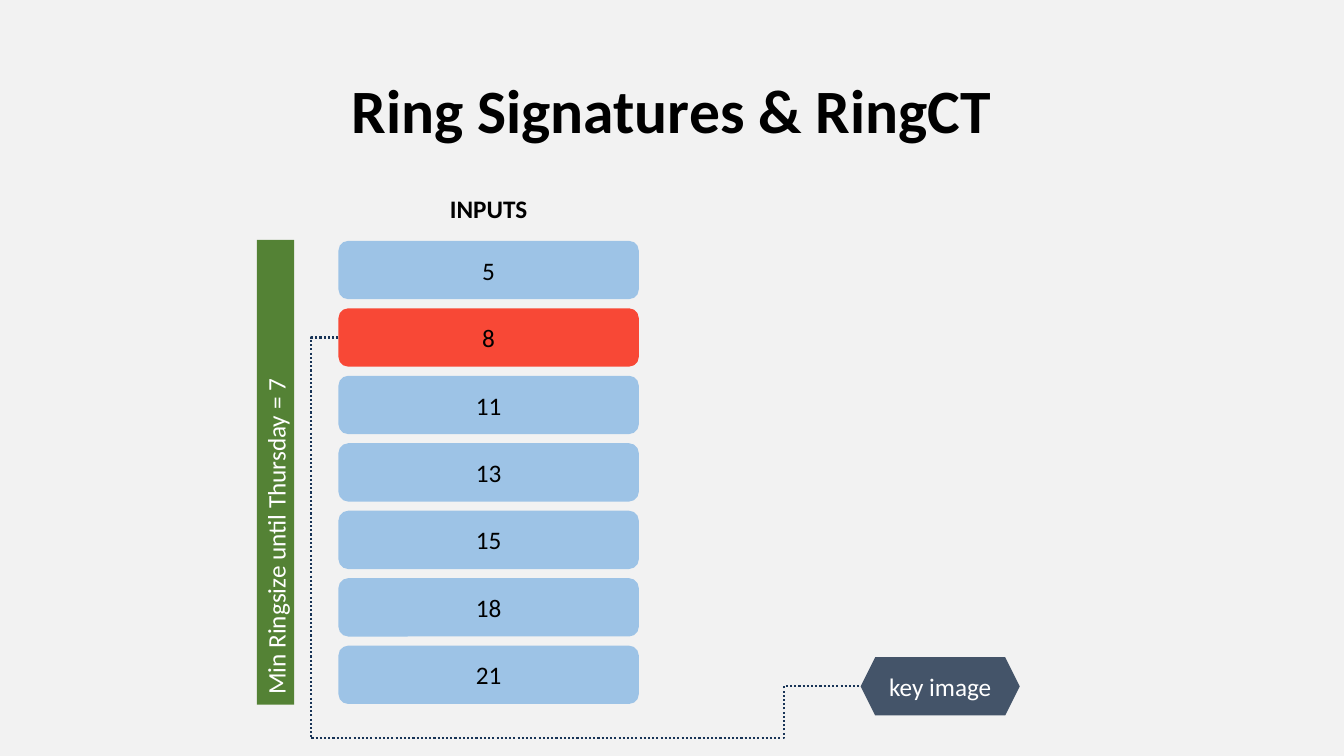
from dataclasses import dataclass

from lxml import etree
from pptx import Presentation
from pptx import util as u
from pptx.dml.color import RGBColor
from pptx.enum import dml, shapes, text
from pptx.oxml.ns import qn


@dataclass(frozen=True)
class Theme:
    """Colours, font and type sizes of the slide."""
    font: str = "Calibri"
    background: str = "F2F2F2"
    ink: str = "000000"
    light: str = "FFFFFF"
    decoy: str = "9DC3E6"
    spent: str = "F84836"
    ring_size: str = "548235"
    key_image: str = "445469"
    link: str = "183457"
    title_size: int = 44
    body_size: int = 18
    link_width: float = 1.5


class RingSlide:
    """Draws themed elements on one slide, with lengths in centimetres."""

    def __init__(self, deck, theme):
        """Add a title-only slide with the theme background."""
        self.theme = theme
        self.slide = deck.slides.add_slide(deck.slide_layouts[5])
        backdrop = self.slide.background.fill
        backdrop.solid()
        backdrop.fore_color.rgb = RGBColor.from_string(theme.background)

    def put_text(self, frame, wording, color, align=text.PP_ALIGN.CENTER, **formats):
        """Fill a text frame with one formatted paragraph."""
        paragraph = frame.paragraphs[0]
        paragraph.alignment = align
        run = paragraph.add_run()
        run.text = wording
        formats = {"name": self.theme.font, "size": u.Pt(self.theme.body_size), **formats}
        for attribute, value in formats.items():
            setattr(run.font, attribute, value)
        run.font.color.rgb = RGBColor.from_string(color)
        return paragraph

    def title(self, wording, left, top, width, height):
        """Move and fill the title placeholder."""
        heading = self.slide.shapes.title
        place = {"left": left, "top": top, "width": width, "height": height}
        for attribute, value in place.items():
            setattr(heading, attribute, u.Cm(value))
        heading.text_frame.vertical_anchor = text.MSO_ANCHOR.MIDDLE
        paragraph = self.put_text(heading.text_frame, wording, self.theme.ink,
                                  size=u.Pt(self.theme.title_size), bold=True)
        paragraph.line_spacing = 0.9

    def label(self, wording, left, top, width, height):
        """Add a bold one-line caption."""
        caption = self.slide.shapes.add_textbox(*map(u.Cm, (left, top, width, height)))
        caption.text_frame.word_wrap = False
        self.put_text(caption.text_frame, wording, self.theme.ink, bold=True)

    def block(self, kind, wording, box, fill, color,
              align=text.PP_ALIGN.CENTER, rotation=0):
        """Add a flat filled shape with text."""
        block = self.slide.shapes.add_shape(kind, *map(u.Cm, box))
        block.shadow.inherit = False
        block.rotation = rotation
        block.fill.solid()
        block.fill.fore_color.rgb = RGBColor.from_string(fill)
        block.line.fill.background()
        block.text_frame.vertical_anchor = text.MSO_ANCHOR.MIDDLE
        self.put_text(block.text_frame, wording, color, align)

    def link(self, start, end, bend):
        """Add a dotted elbow line that turns at the given share of its width."""
        link = self.slide.shapes.add_connector(
            shapes.MSO_CONNECTOR.ELBOW, *map(u.Cm, (*start, *end)))
        link.line.color.rgb = RGBColor.from_string(self.theme.link)
        link.line.width = u.Pt(self.theme.link_width)
        link.line.dash_style = dml.MSO_LINE.ROUND_DOT
        properties = link.element.spPr
        guides = properties.find(qn("a:prstGeom")).find(qn("a:avLst"))
        etree.SubElement(guides, qn("a:gd"), name="adj1", fmla=f"val {round(bend * 100000)}")
        etree.SubElement(properties, qn("a:effectLst"))


def main():
    """Build the ring signature slide."""
    deck = Presentation()
    deck.slide_width, deck.slide_height = u.Cm(33.87), u.Cm(19.05)
    theme = Theme()
    page = RingSlide(deck, theme)
    kinds = shapes.MSO_SHAPE

    page.title("Ring Signatures & RingCT", 2.33, 1.02, 29.21, 3.68)
    page.block(kinds.RECTANGLE, "Min Ringsize until Thursday = 7",
               (1.09, 11.43, 11.71, 0.94), theme.ring_size, theme.light,
               text.PP_ALIGN.LEFT, 270)
    page.label("INPUTS", 11.07, 4.75, 2.49, 1.02)

    inputs, spent_input = (5, 8, 11, 13, 15, 18, 21), 8
    left, top, width, height, pitch = 8.53, 6.07, 7.57, 1.47, 1.7
    for row, number in enumerate(inputs):
        fill = theme.spent if number == spent_input else theme.decoy
        page.block(kinds.ROUNDED_RECTANGLE, str(number),
                   (left, top + row * pitch, width, height), fill, theme.ink)

    key_left, key_top = 21.69, 16.56
    page.block(kinds.HEXAGON, "key image", (key_left, key_top, 4.01, height),
               theme.key_image, theme.light)

    spent_middle = top + inputs.index(spent_input) * pitch + height / 2
    corner = (7.85, 18.59)
    page.link((left, spent_middle), corner, 1)
    page.link(corner, (key_left, key_top + height / 2), 0.86)

    deck.save("out.pptx")


if __name__ == "__main__":
    main()
